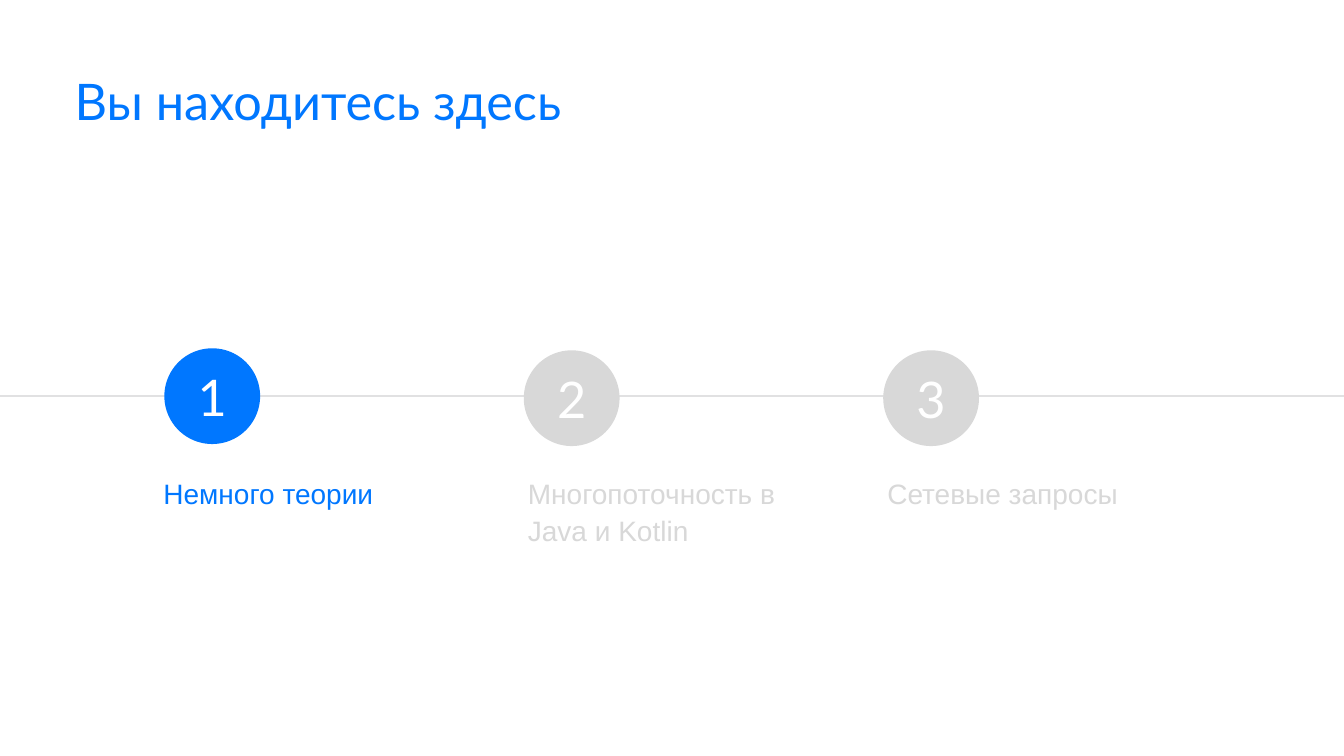
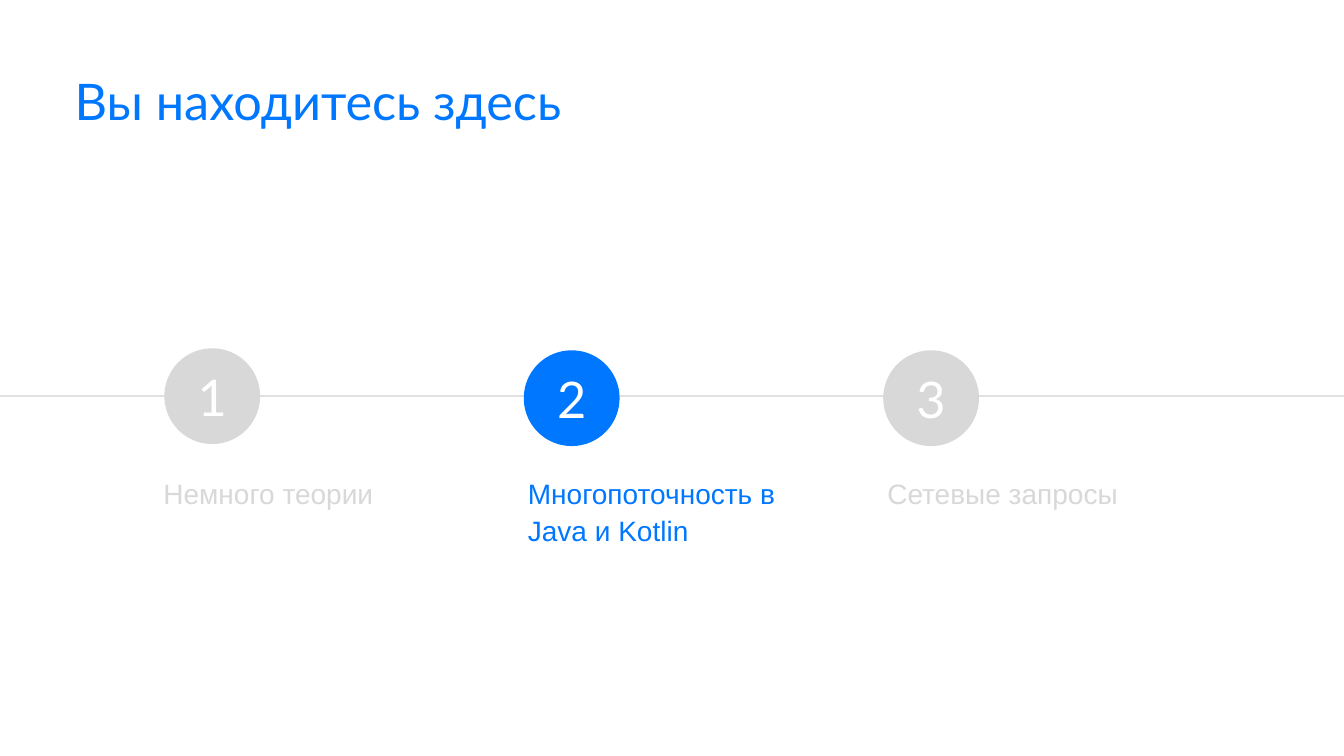
import dataclasses

import pptx
import pptx.dml.color
import pptx.enum.shapes
import pptx.enum.text
import pptx.util
import lxml.etree

Inches = pptx.util.Inches
Pt = pptx.util.Pt
ANCHOR = pptx.enum.text.MSO_ANCHOR
ALIGN = pptx.enum.text.PP_ALIGN


@dataclasses.dataclass(frozen=True)
class Theme:
    width: float = 13.33
    height: float = 7.5
    active: str = "0077FF"
    muted: str = "D8D8D8"
    line: str = "E1E1E2"
    white: str = "FFFFFF"
    heading_font: str = "Lato"
    body_font: str = "Arial"
    heading_size: int = 36
    body_size: int = 20


@dataclasses.dataclass(frozen=True)
class Step:
    label: str
    drop: float = 0.02   # circle centre below the timeline
    shift: float = 0     # label offset from the column's left edge


THEME = Theme()
TITLE = "Вы находитесь здесь"
STEPS = (
    Step("Немного теории", drop=0, shift=-0.05),
    Step("Многопоточность в Java и Kotlin"),
    Step("Сетевые запросы"),
)

# Grid: equal columns hung on one horizontal line
LINE_Y = 3.93
FIRST_COLUMN, COLUMN_PITCH = 1.63, 3.565
CIRCLE = 0.95
LABEL_Y, LABEL_W, LABEL_LINE = 4.65, 2.79, 0.45


def rgb(color):
    return pptx.dml.color.RGBColor.from_string(color)


def write(shape, text, font, size, color, insets=(0, 0), spacing=None,
          align=ALIGN.LEFT, anchor=ANCHOR.TOP):
    tf = shape.text_frame
    tf.word_wrap = True
    tf.vertical_anchor = anchor
    tf.margin_left = tf.margin_right = Inches(insets[0])
    tf.margin_top = tf.margin_bottom = Inches(insets[1])
    p = tf.paragraphs[0]
    p.alignment = align
    if spacing:
        p.line_spacing = spacing
    r = p.add_run()
    r.text = text
    r.font.name, r.font.size = font, Pt(size)
    r.font.color.rgb = rgb(color)
    return tf


def add_title(s, left, top, width, height):
    sp = s.shapes.add_textbox(*map(Inches, (left, top, width, height)))
    write(sp, TITLE, THEME.heading_font, THEME.heading_size, THEME.active,
          spacing=0.9)


def add_timeline(s, y):
    line = s.shapes.add_connector(
        pptx.enum.shapes.MSO_CONNECTOR.STRAIGHT,
        0, Inches(y), Inches(THEME.width), Inches(y))
    line.line.color.rgb = rgb(THEME.line)
    line.line.width = Pt(1)
    lxml.etree.SubElement(line._element.spPr, pptx.oxml.ns.qn("a:effectLst"))


def add_step(s, number, step, left, color):
    # Numbered circle
    top = LINE_Y - CIRCLE / 2 + step.drop
    sp = s.shapes.add_shape(
        pptx.enum.shapes.MSO_SHAPE.OVAL,
        *map(Inches, (left, top, CIRCLE, CIRCLE)))
    sp.shadow.inherit = False
    sp.fill.solid()
    sp.fill.fore_color.rgb = rgb(color)
    sp.line.fill.background()
    write(sp, str(number), THEME.heading_font, THEME.heading_size,
          THEME.white, insets=(0, 0.05), align=ALIGN.CENTER,
          anchor=ANCHOR.MIDDLE)

    # Label under the circle
    sp = s.shapes.add_textbox(
        *map(Inches, (left + step.shift, LABEL_Y, LABEL_W, LABEL_LINE)))
    tf = write(sp, step.label, THEME.body_font, THEME.body_size, color,
               insets=(0.04, 0.04), spacing=1.1)
    tf.auto_size = pptx.enum.text.MSO_AUTO_SIZE.SHAPE_TO_FIT_TEXT


def add_agenda_slide(prs, current):
    s = prs.slides.add_slide(prs.slide_layouts[6])
    s.background.fill.solid()
    s.background.fill.fore_color.rgb = rgb(THEME.white)
    add_title(s, 0.74, 0.76, 11.87, 0.7)
    add_timeline(s, LINE_Y)
    for i, step in enumerate(STEPS):
        color = THEME.active if i + 1 == current else THEME.muted
        add_step(s, i + 1, step, FIRST_COLUMN + i * COLUMN_PITCH, color)


def main():
    prs = pptx.Presentation()
    prs.slide_width = Inches(THEME.width)
    prs.slide_height = Inches(THEME.height)
    for current in (1, 2):
        add_agenda_slide(prs, current)
    prs.save("out.pptx")


if __name__ == "__main__":
    main()
